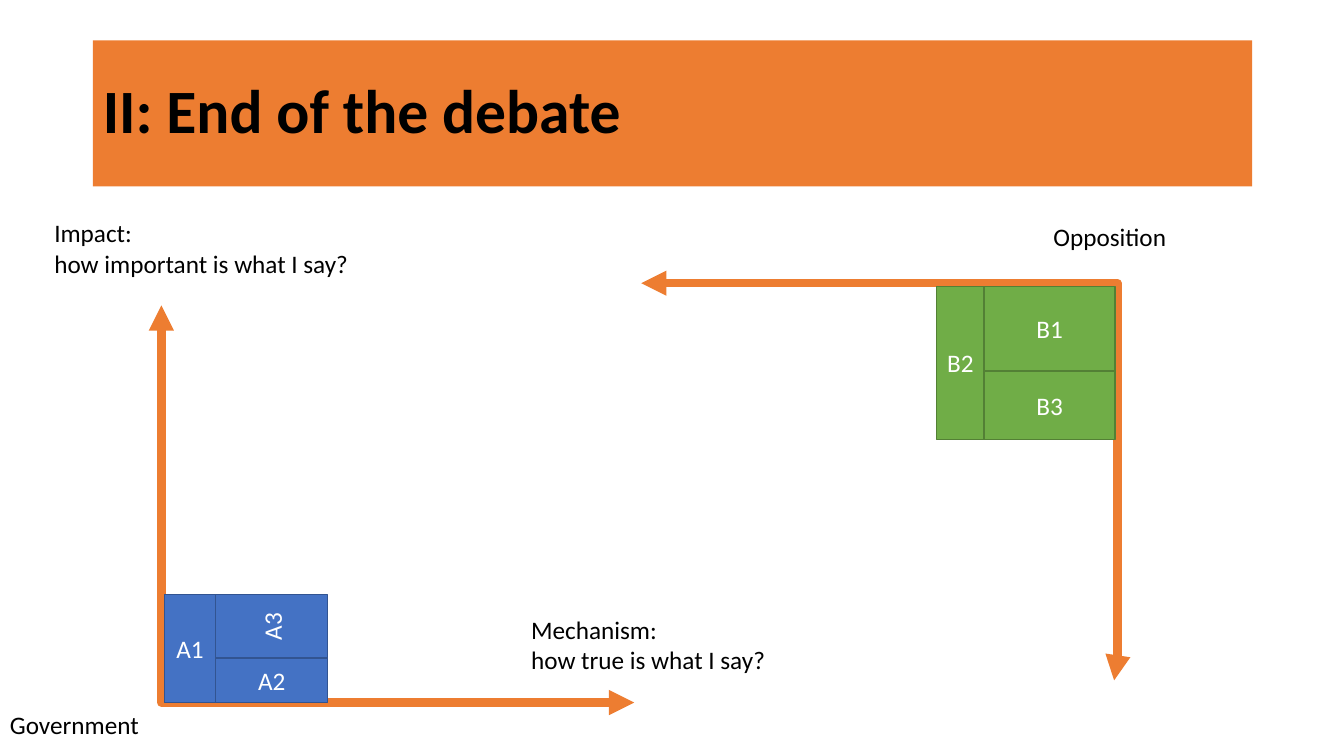
import pptx
import pptx.util
import pptx.dml.color
import pptx.enum.shapes
import pptx.enum.text
import pptx.oxml
import pptx.oxml.ns
from lxml import etree

Inches = pptx.util.Inches
Pt = pptx.util.Pt
COLORS = {
    "accent": "ED7D31", "text": "000000", "label": "FFFFFF",
    "government": "4472C4", "government_edge": "325491",
    "opposition": "70AD47", "opposition_edge": "538035",
}


def color(name):
    """Return the named palette colour."""
    return pptx.dml.color.RGBColor.from_string(COLORS[name])


def style(paragraph, size, name, bold=False):
    """Set the font of a paragraph."""
    paragraph.font.name = "Calibri"
    paragraph.font.size = Pt(size)
    paragraph.font.bold = bold
    paragraph.font.color.rgb = color(name)


def add_title(slide, box, wording):
    """Turn the title placeholder into a coloured banner."""
    title = slide.shapes.title
    title.left, title.top, title.width, title.height = map(Inches, box)
    title.fill.solid()
    title.fill.fore_color.rgb = color("accent")
    title.text_frame.text = wording
    title.text_frame.vertical_anchor = pptx.enum.text.MSO_ANCHOR.MIDDLE
    heading = title.text_frame.paragraphs[0]
    heading.alignment = pptx.enum.text.PP_ALIGN.LEFT
    heading.line_spacing = 0.9
    style(heading, 44, "text", bold=True)


def add_axes(slide, box, bend):
    """Draw a two-headed elbow across the box, bending at a share of its width."""
    left, top, width, height = box
    axes = slide.shapes.add_connector(
        pptx.enum.shapes.MSO_CONNECTOR.ELBOW,
        Inches(left), Inches(top), Inches(left + width), Inches(top + height))
    axes.line.color.rgb = color("accent")
    axes.line.width = Pt(6)
    qn = pptx.oxml.ns.qn
    properties = axes._element.spPr
    line = properties.find(qn("a:ln"))
    for end in ("a:headEnd", "a:tailEnd"):
        etree.SubElement(line, qn(end), type="triangle")
    etree.SubElement(properties, qn("a:effectLst"))
    adjustments = properties.find(qn("a:prstGeom")).find(qn("a:avLst"))
    etree.SubElement(adjustments, qn("a:gd"), name="adj1",
                     fmla=f"val {round(bend * 100000)}")


def add_caption(slide, box, lines):
    """Write one paragraph per line in a wrapping text box."""
    frame = slide.shapes.add_textbox(*map(Inches, box)).text_frame
    frame.word_wrap = True
    frame.text = "\n".join(lines)
    for paragraph in frame.paragraphs:
        style(paragraph, 18, "text")


def add_argument(slide, box, label, team, turned=False):
    """Fill the box with a labelled rectangle, on its side if turned."""
    left, top, width, height = box
    if turned:
        left, top = left + (width - height) / 2, top + (height - width) / 2
        width, height = height, width
    argument = slide.shapes.add_shape(
        pptx.enum.shapes.MSO_SHAPE.RECTANGLE,
        *map(Inches, (left, top, width, height)))
    argument.rotation = 270 if turned else 0
    argument.shadow.inherit = False
    argument.fill.solid()
    argument.fill.fore_color.rgb = color(team)
    argument.line.color.rgb = color(team + "_edge")
    argument.line.width = Pt(1)
    frame = argument.text_frame
    frame.word_wrap = False
    frame.text = label
    frame.vertical_anchor = pptx.enum.text.MSO_ANCHOR.MIDDLE
    frame.paragraphs[0].alignment = pptx.enum.text.PP_ALIGN.CENTER
    style(frame.paragraphs[0], 18, "label")


def add_case(slide, box, team, labels, column, split, turned=False):
    """Divide the box into a tall argument on the left and two stacked ones."""
    left, top, width, height = box
    tall, upper, lower = labels
    stack, stack_width = left + column, width - column
    add_argument(slide, (stack, top, stack_width, split), upper, team, turned)
    add_argument(slide, (left, top, column, height), tall, team)
    add_argument(slide, (stack, top + split, stack_width, height - split),
                 lower, team)


def main():
    """Build the debate slide and save it."""
    deck = pptx.Presentation()
    deck.slide_width, deck.slide_height = Inches(13.33), Inches(7.5)
    slide = deck.slides.add_slide(deck.slide_layouts.get_by_name("Title Only"))
    add_title(slide, (0.92, 0.4, 11.5, 1.45), "II: End of the debate")
    add_axes(slide, (1.6, 3.03, 4.69, 3.94), 0)
    add_axes(slide, (6.36, 2.81, 4.69, 3.94), 1.007)
    add_caption(slide, (0.44, 2.11, 3.21, 0.71),
                ["Impact:", "how important is what I say?"])
    add_caption(slide, (5.17, 6.04, 2.84, 0.71),
                ["Mechanism:", "how true is what I say?"])
    add_caption(slide, (0, 6.99, 2.84, 0.4), ["Government"])
    add_caption(slide, (10.35, 2.15, 1.93, 0.4), ["Opposition"])
    add_case(slide, (1.63, 5.9, 1.62, 1.07), "government",
             ("A1", "A3", "A2"), 0.51, 0.63, turned=True)
    add_case(slide, (9.29, 2.84, 1.77, 1.52), "opposition",
             ("B2", "B1", "B3"), 0.47, 0.84)
    deck.save("out.pptx")


if __name__ == "__main__":
    main()
